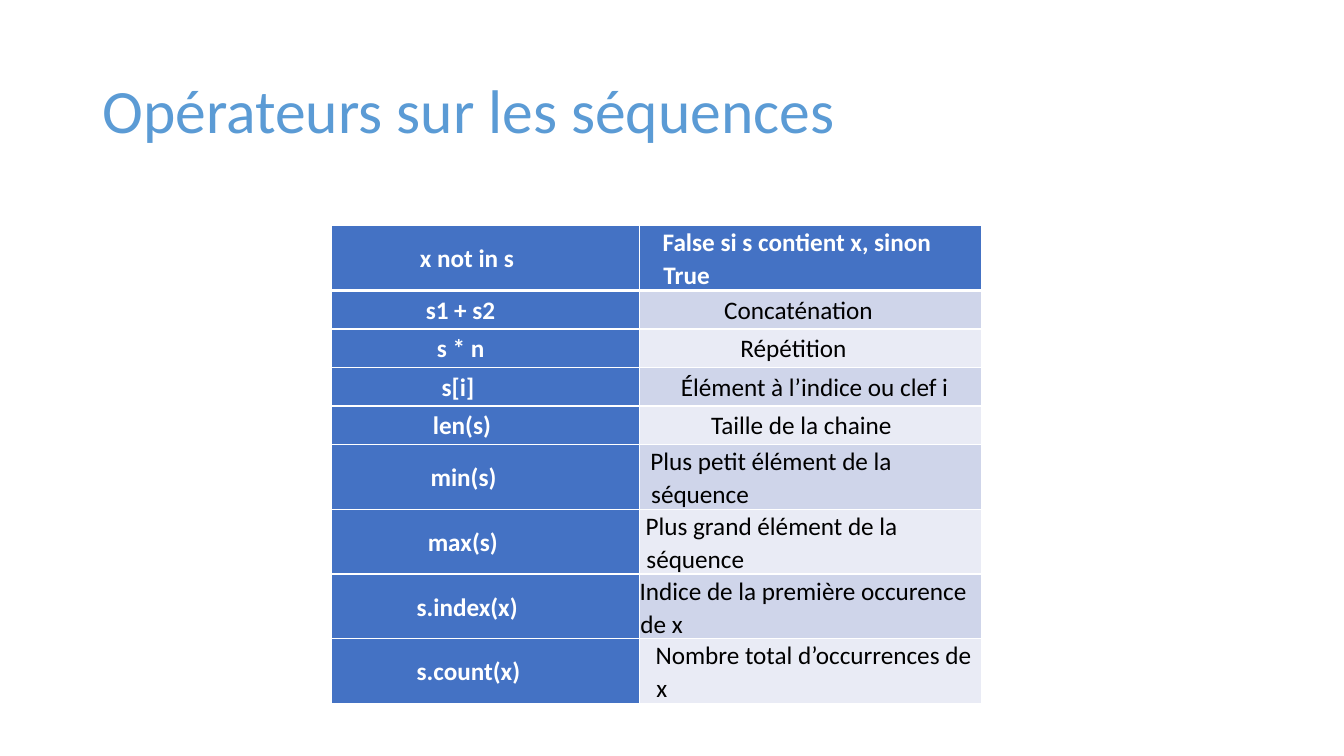
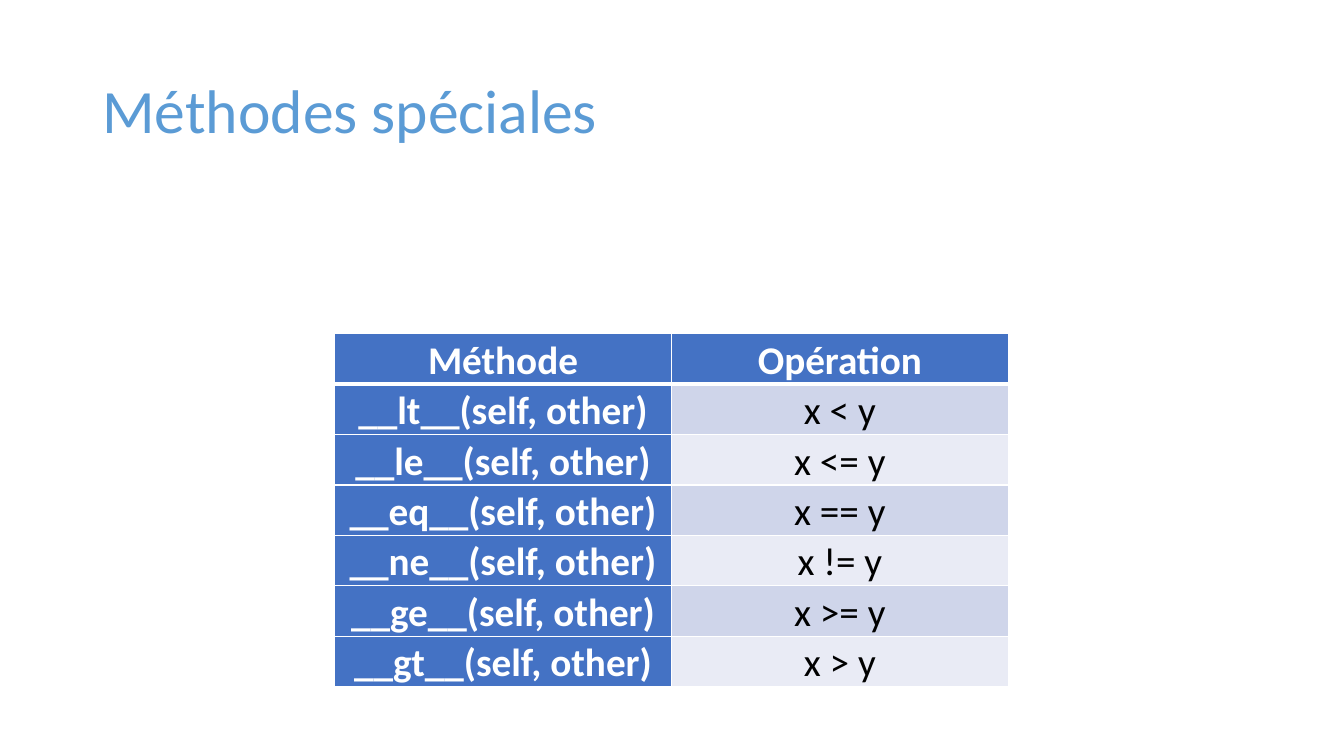
from lxml.etree import SubElement
from pptx import Presentation
from pptx.dml.color import RGBColor
from pptx.enum.text import MSO_ANCHOR, PP_ALIGN
from pptx.oxml.ns import qn
from pptx.util import Cm, Pt

FONT = "Calibri"
TITLE_BLUE = "5B9BD5"
HEAD_BLUE = "4472C4"
BANDS = ("CFD5EA", "E9EBF5")
WHITE = "FFFFFF"
BLACK = "000000"
HANG = 0.02
ONE_LINE, TWO_LINES = 0.97, 1.63

# Each cell of the sequence table: text and left indent in cm
SEQUENCE_ROWS = [
    (("x not in s", 2.24), ("False si s contient x, sinon True", 0.61)),
    (("s1 + s2", 2.39), ("Concaténation", 2.16)),
    (("s * n", 2.67), ("Répétition", 2.57)),
    (("s[i]", 2.79), ("Élément à l’indice ou clef i", 1.07)),
    (("len(s)", 2.57), ("Taille de la chaine", 1.83)),
    (("min(s)", 2.51), ("Plus petit élément de la séquence", 0.3)),
    (("max(s)", 2.44), ("Plus grand élément de la séquence", 0.18)),
    (("s.index(x)", 2.16), ("Indice de la première occurence de x", 0.03)),
    (("s.count(x)", 2.16), ("Nombre total d’occurrences de x", 0.43)),
]
SEQUENCE_HEIGHTS = [TWO_LINES] + [ONE_LINE] * 4 + [TWO_LINES] * 4

COMPARISONS = [("lt", "<"), ("le", "<="), ("eq", "=="),
               ("ne", "!="), ("ge", ">="), ("gt", ">")]


def color(hex_code):
    """Turn a hex string into a colour."""
    return RGBColor.from_string(hex_code)


def add_run(para, text, size, hex_code, bold=False):
    """Add one styled run to a paragraph."""
    span = para.add_run()
    span.text = text
    span.font.name = FONT
    span.font.size = Pt(size)
    span.font.bold = bold
    span.font.color.rgb = color(hex_code)


def add_page(deck, title):
    """Add a blank page with the shared title style."""
    page = deck.slides.add_slide(deck.slide_layouts[6])
    box = page.shapes.add_textbox(Cm(2.33), Cm(1.01), Cm(29.21), Cm(3.68))
    box.text_frame.word_wrap = True
    box.text_frame.vertical_anchor = MSO_ANCHOR.MIDDLE
    para = box.text_frame.paragraphs[0]
    para.line_spacing = 0.9
    add_run(para, title, 44, TITLE_BLUE)
    return page


def set_borders(cell, top, bottom):
    """Draw white cell borders, with top and bottom widths in points."""
    properties = cell._tc.get_or_add_tcPr()
    for side, width in (("L", 1), ("R", 1), ("T", top), ("B", bottom)):
        line = SubElement(properties, qn(f"a:ln{side}"), w=str(Pt(width)))
        fill = SubElement(line, qn("a:solidFill"))
        SubElement(fill, qn("a:srgbClr"), val=WHITE)


def fill_cell(cell, row, column, text, size, left_margin, indent):
    """Style one cell; without an indent its text is centred."""
    is_head = row == 0 or column == 0
    set_borders(cell, 3 if row == 1 else 1, 3 if row == 0 else 1)
    cell.fill.solid()
    cell.fill.fore_color.rgb = color(HEAD_BLUE if is_head else BANDS[(row - 1) % 2])
    cell.vertical_anchor = MSO_ANCHOR.MIDDLE
    cell.margin_left, cell.margin_right = Cm(left_margin), Cm(0.2)
    cell.margin_top = cell.margin_bottom = 0
    para = cell.text_frame.paragraphs[0]
    para.line_spacing = 1.07
    if indent is None:
        para.alignment = PP_ALIGN.CENTER
    else:
        para.alignment = PP_ALIGN.LEFT
        properties = para._p.get_or_add_pPr()
        properties.set("marL", str(Cm(indent)))
        properties.set("indent", str(-Cm(HANG)))
    add_run(para, text, size, WHITE if is_head else BLACK, is_head)


def add_grid(page, left, top, widths, heights, rows, size, left_margin):
    """Add a table with a blue header row and column and banded cells."""
    frame = page.shapes.add_table(len(rows), len(widths), Cm(left), Cm(top),
                                  Cm(sum(widths)), Cm(sum(heights)))
    table = frame.table
    for column, width in zip(table.columns, widths):
        column.width = Cm(width)
    for row, height in zip(table.rows, heights):
        row.height = Cm(height)
    for r, cells in enumerate(rows):
        for c, (text, indent) in enumerate(cells):
            fill_cell(table.cell(r, c), r, c, text, size, left_margin, indent)


def main():
    """Build both pages and save the deck."""
    deck = Presentation()
    deck.slide_width, deck.slide_height = Cm(33.87), Cm(19.05)

    page = add_page(deck, "Opérateurs sur les séquences")
    add_grid(page, 8.36, 5.69, (7.75, 8.63), SEQUENCE_HEIGHTS,
             SEQUENCE_ROWS, 18, 0)

    page = add_page(deck, "Méthodes spéciales")
    methods = [(("Méthode", None), ("Opération", None))]
    methods += [((f"__{name}__(self, other)", None), (f"x {sign} y", None))
                for name, sign in COMPARISONS]
    add_grid(page, 8.43, 8.41, (8.49, 8.49), [1.27] * len(methods),
             methods, 28, 0.2)

    deck.save("out.pptx")


main()
